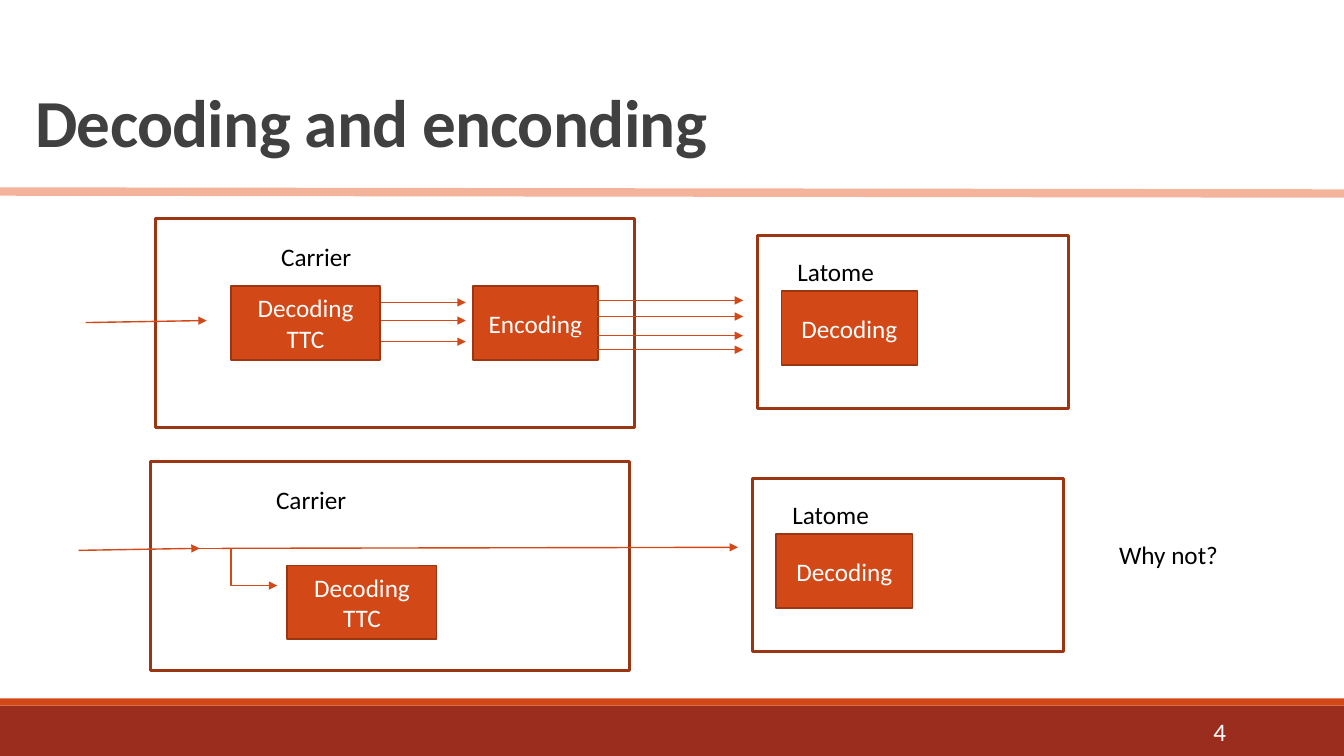
from lxml import etree
from pptx import Presentation
from pptx.dml.color import RGBColor
from pptx.enum import shapes, text
from pptx.oxml import ns
from pptx.util import Inches, Pt

ORANGE = RGBColor(0xD3, 0x48, 0x17)
RUST = RGBColor(0x9C, 0x35, 0x11)
BRICK = RGBColor(0x9B, 0x2D, 0x1F)
PEACH = RGBColor(0xF4, 0xB3, 0x9B)
CHARCOAL = RGBColor(0x40, 0x40, 0x40)
BLACK = RGBColor(0, 0, 0)
WHITE = RGBColor(0xFF, 0xFF, 0xFF)
FONT = "Calibri"

TITLE = "Decoding and enconding"
PAGE_NUMBER = "4"
QUESTION = ("Why not?", 11, 5.3, 1.19)
FOOTER_BANDS = [(7, 0.5, BRICK), (6.93, 0.07, ORANGE)]

FRAMES = [(1.54, 2.17, 4.75, 2.07), (7.51, 2.34, 3.09, 1.71)]
FRAME_LABELS = [("Carrier", 2.69, 2.34, 0.9), ("Latome", 7.81, 2.49, 0.97)]
INPUT_ARROW = (0.85, 3.2, 2.05, 3.18)
LATOME_DECODER = ("Decoding", 7.75, 2.89, 1.35)
SCHEME_OFFSETS = [(0, 0), (-0.05, 2.41)]

BLOCK_HEIGHT = 0.73
ENCODER = ("Encoding", 4.69, 2.84, 1.24)
TTC_DECODERS = [("Decoding TTC", 2.29, 2.84, 1.48), ("Decoding TTC", 2.85, 5.61, 1.48)]
BUS_LENGTH = 1.69
BUSES = [(2.93, (3, 3.18, 3.39)), (5.68, (2.98, 3.14, 3.33, 3.47))]
BYPASS_ARROW = (2.2, 5.44, 7.32, 5.43)
BRANCH_ARROW = (1.83, 5.44, 2.75, 5.81)


def write(shape, content, color, size=18, align=text.PP_ALIGN.LEFT, bold=False):
    shape.text_frame.text = content
    paragraph = shape.text_frame.paragraphs[0]
    paragraph.alignment = align
    font = paragraph.runs[0].font
    font.name, font.size, font.bold = FONT, Pt(size), bold
    font.color.rgb = color
    return paragraph


def add_rectangle(slide, left, top, width, height, fill=None, line_width=0):
    shape = slide.shapes.add_shape(
        shapes.MSO_SHAPE.RECTANGLE, Inches(left), Inches(top), Inches(width), Inches(height))
    shape.shadow.inherit = False
    if fill is None:
        shape.fill.background()
    else:
        shape.fill.solid()
        shape.fill.fore_color.rgb = fill
    if line_width:
        shape.line.color.rgb = RUST
        shape.line.width = Pt(line_width)
    else:
        shape.line.fill.background()
    return shape


def add_block(slide, content, left, top, width):
    block = add_rectangle(slide, left, top, width, BLOCK_HEIGHT, ORANGE, 1.25)
    block.text_frame.vertical_anchor = text.MSO_ANCHOR.MIDDLE
    write(block, content, WHITE, align=text.PP_ALIGN.CENTER)


def add_label(slide, content, left, top, width, color=BLACK, align=text.PP_ALIGN.LEFT):
    label = slide.shapes.add_textbox(Inches(left), Inches(top), Inches(width), Inches(0.4))
    label.text_frame.word_wrap = False
    label.text_frame.vertical_anchor = text.MSO_ANCHOR.MIDDLE
    write(label, content, color, align=align)


def add_line(slide, ends, color=ORANGE, width=1, arrow=True, kind=shapes.MSO_CONNECTOR.STRAIGHT):
    connector = slide.shapes.add_connector(kind, *[Inches(value) for value in ends])
    connector.line.color.rgb = color
    connector.line.width = Pt(width)
    if arrow:
        etree.SubElement(connector.line._get_or_add_ln(), ns.qn("a:tailEnd"), type="triangle")
    etree.SubElement(connector._element.spPr, ns.qn("a:effectLst"))


def add_title(slide):
    title = slide.shapes.title
    title.left, title.top = Inches(0.25), Inches(0.2)
    title.width, title.height = Inches(11.5), Inches(1.45)
    title.text_frame.auto_size = text.MSO_AUTO_SIZE.NONE
    title.text_frame.vertical_anchor = text.MSO_ANCHOR.BOTTOM
    paragraph = write(title, TITLE, CHARCOAL, 48, bold=True)
    paragraph.line_spacing = 0.85
    paragraph.runs[0].font._element.set("spc", "-50")


def main():
    """Build the slide comparing two decoding and encoding schemes."""
    presentation = Presentation()
    presentation.slide_width, presentation.slide_height = Inches(13.33), Inches(7.5)
    slide = presentation.slides.add_slide(presentation.slide_layouts[5])

    for top, height, color in FOOTER_BANDS:
        add_rectangle(slide, 0, top, 13.33, height, color)
    add_title(slide)
    add_label(slide, PAGE_NUMBER, 10.83, 7.06, 1.43, WHITE, text.PP_ALIGN.RIGHT)
    add_line(slide, (0, 1.9, 13.33, 1.92), PEACH, 6, arrow=False)

    for dx, dy in SCHEME_OFFSETS:
        for left, top, width, height in FRAMES:
            add_rectangle(slide, left + dx, top + dy, width, height, line_width=2.25)
        for content, left, top, width in FRAME_LABELS:
            add_label(slide, content, left + dx, top + dy, width)
        x1, y1, x2, y2 = INPUT_ARROW
        shift = 1.4 * dx
        add_line(slide, (x1 + shift, y1 + dy - 0.15 * bool(dy), x2 + shift, y2 + dy - 0.15 * bool(dy)))
        content, left, top, width = LATOME_DECODER
        add_block(slide, content, left + dx, top + dy, width)

    add_block(slide, *ENCODER)
    for start, levels in BUSES:
        for level in levels:
            add_line(slide, (start, level, start + BUS_LENGTH, level))
    add_line(slide, BYPASS_ARROW)
    for decoder in TTC_DECODERS:
        add_block(slide, *decoder)
    add_line(slide, BRANCH_ARROW, kind=shapes.MSO_CONNECTOR.ELBOW)
    add_label(slide, *QUESTION)

    presentation.save("out.pptx")


if __name__ == "__main__":
    main()
